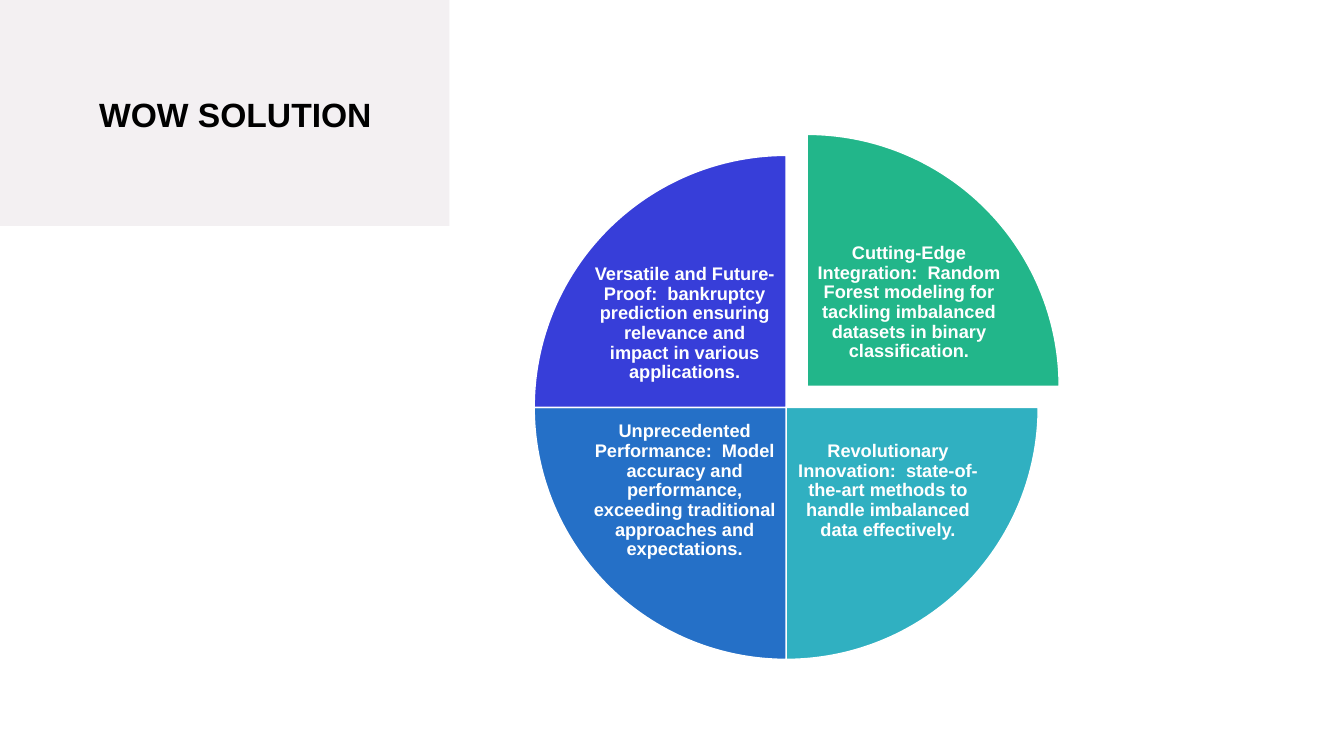
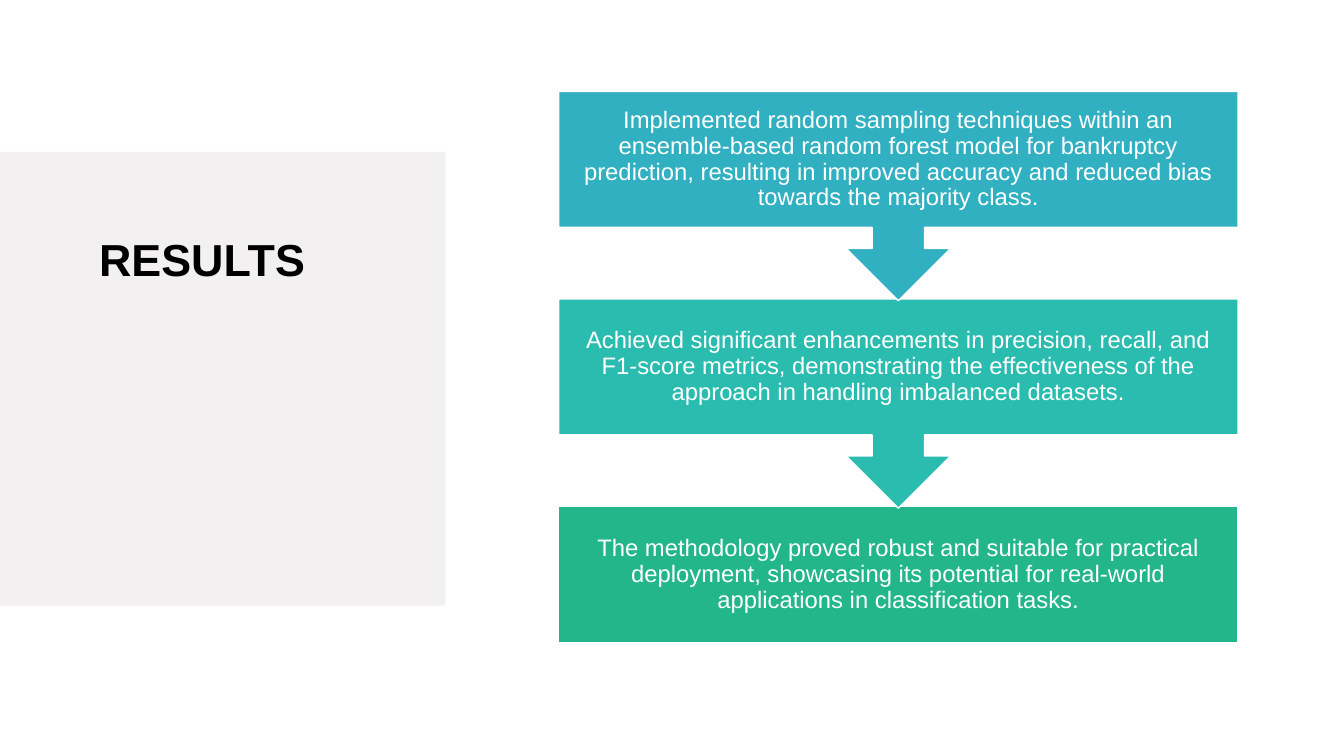
from pptx import Presentation
from pptx import util as u
from pptx.dml.color import RGBColor
from pptx.enum import shapes, text

CELL = u.Inches(1 / 12)
COLUMNS, ROWS = 160, 90
TITLE_LEFT = 10.6
QUARTER = 54

BLACK = RGBColor(0x00, 0x00, 0x00)
WHITE = RGBColor(0xFF, 0xFF, 0xFF)
BAND = RGBColor(0xF3, 0xF0, 0xF2)
GREEN = RGBColor(0x22, 0xB6, 0x8A)
TEAL = RGBColor(0x29, 0xBC, 0xAF)
CYAN = RGBColor(0x30, 0xB0, 0xC1)
BLUE = RGBColor(0x25, 0x70, 0xC7)
INDIGO = RGBColor(0x37, 0x3E, 0xD9)

TITLE_PARAGRAPH = {"alignment": text.PP_ALIGN.LEFT}
BODY_PARAGRAPH = {"alignment": text.PP_ALIGN.CENTER, "line_spacing": 0.9}

QUADRANTS = [
    (GREEN, 3, 1, 0, 2.5,
     "Cutting-Edge Integration:  Random Forest modeling for tackling "
     "imbalanced datasets in binary classification."),
    (CYAN, 0, 1, 1, 0,
     "Revolutionary Innovation:  state-of-the-art methods to handle "
     "imbalanced data effectively."),
    (BLUE, 1, 0, 1, 0,
     "Unprecedented Performance:  Model accuracy and performance, "
     "exceeding traditional approaches and expectations."),
    (INDIGO, 2, 0, 0, 0,
     "Versatile and Future-Proof:  bankruptcy prediction ensuring "
     "relevance and impact in various applications."),
]

RESULTS = [
    (CYAN,
     "Implemented random sampling techniques within an ensemble-based random "
     "forest model for bankruptcy prediction, resulting in improved accuracy "
     "and reduced bias towards the majority class."),
    (TEAL,
     "Achieved significant enhancements in precision, recall, and F1-score "
     "metrics, demonstrating the effectiveness of the approach in handling "
     "imbalanced datasets."),
    (GREEN,
     "The methodology proved robust and suitable for practical deployment, "
     "showcasing its potential for real-world applications in "
     "classification tasks."),
]


def cells(*counts):
    return [round(count * CELL) for count in counts]


def apply(target, values):
    for name, value in values.items():
        setattr(target, name, value)


def write(shape, words, size, color, bold, paragraph_format, anchor, inset=None):
    frame = shape.text_frame
    apply(frame, {"word_wrap": True, "vertical_anchor": anchor,
                  "auto_size": text.MSO_AUTO_SIZE.NONE})
    if inset is not None:
        for side in ("left", "top", "right", "bottom"):
            setattr(frame, f"margin_{side}", u.Inches(inset))
    paragraph = frame.paragraphs[0]
    apply(paragraph, paragraph_format)
    run = paragraph.add_run()
    run.text = words
    apply(run.font, {"name": "Arial", "size": u.Pt(size), "bold": bold})
    run.font.color.rgb = color


def add_filled(slide, preset, box, fill, outline=None):
    shape = slide.shapes.add_shape(preset, *cells(*box))
    shape.shadow.inherit = False
    shape.fill.solid()
    shape.fill.fore_color.rgb = fill
    if outline is None:
        shape.line.fill.background()
    else:
        shape.line.color.rgb = outline
        shape.line.width = u.Pt(1)
    return shape


def add_titled_slide(presentation, words, size, band, title_box, anchor):
    slide = presentation.slides.add_slide(presentation.slide_layouts[5])
    add_filled(slide, shapes.MSO_SHAPE.RECTANGLE, band, BAND)
    title = slide.shapes.title
    slide.shapes._spTree.append(title._element)
    apply(title, dict(zip(("left", "top", "width", "height"), cells(*title_box))))
    write(title, words, size, BLACK, True, TITLE_PARAGRAPH, anchor)
    return slide


def add_quadrant(slide, color, turn, column, row, offset, words):
    center_x, center_y, radius = 93.6 + offset, 48.5 - offset, 30
    width, height, gap = 22.2, 17.9, 1
    pie = add_filled(slide, shapes.MSO_SHAPE.PIE,
                     (center_x - radius, center_y - radius, 2 * radius, 2 * radius),
                     color, WHITE)
    pie.adjustments[0] = turn * QUARTER
    pie.adjustments[1] = (turn + 1) % 4 * QUARTER
    left = center_x + (gap if column else -gap - width)
    top = center_y + (gap if row else -gap - height)
    label = slide.shapes.add_textbox(*cells(left, top, width, height))
    write(label, words, 13, WHITE, True, BODY_PARAGRAPH, text.MSO_ANCHOR.MIDDLE, 0.02)


def add_result(slide, index, color, words):
    left, width, top, pitch = 66.5, 80.9, 10.9, 24.7
    is_last = index == len(RESULTS) - 1
    preset = shapes.MSO_SHAPE.RECTANGLE if is_last else shapes.MSO_SHAPE.DOWN_ARROW_CALLOUT
    height = 16.2 if is_last else 24.9
    card = add_filled(slide, preset, (left, top + index * pitch, width, height), color, WHITE)
    write(card, words, 17, WHITE, False, BODY_PARAGRAPH, text.MSO_ANCHOR.MIDDLE, 0.13)


def main():
    presentation = Presentation()
    presentation.slide_width, presentation.slide_height = cells(COLUMNS, ROWS)

    solution = add_titled_slide(presentation, "WOW SOLUTION", 24, (0, 0, 53.5, 26.9),
                                (TITLE_LEFT, 4.7, 37.7, 17.8), text.MSO_ANCHOR.MIDDLE)
    for quadrant in QUADRANTS:
        add_quadrant(solution, *quadrant)

    results = add_titled_slide(presentation, "RESULTS", 32, (0, 18.1, 53, 54),
                               (TITLE_LEFT, 27, 34.6, 34.8), text.MSO_ANCHOR.TOP)
    for index, result in reversed(list(enumerate(RESULTS))):
        add_result(results, index, *result)

    presentation.save("out.pptx")


if __name__ == "__main__":
    main()
